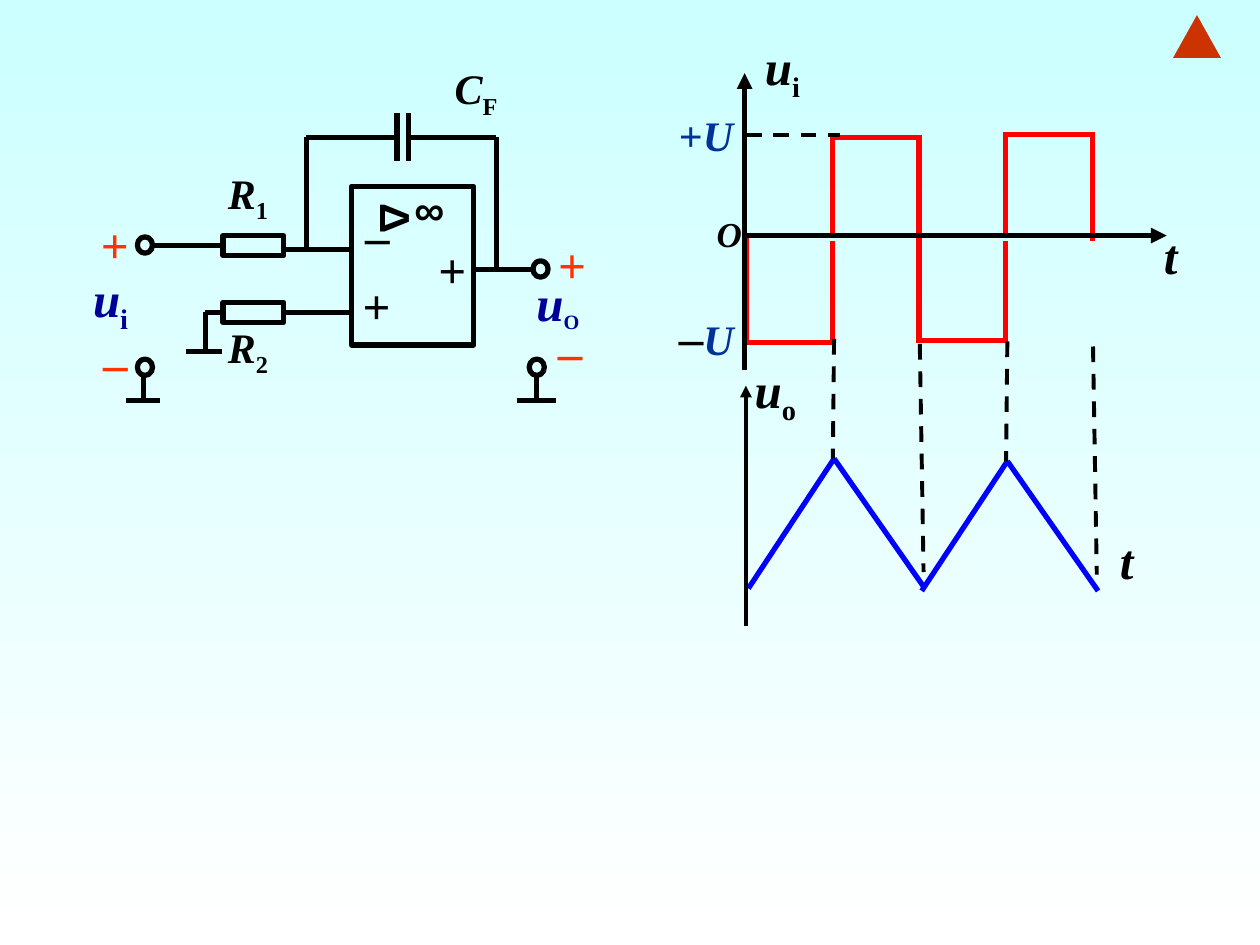
from dataclasses import dataclass

from lxml import etree
from pptx import Presentation
from pptx.dml.color import RGBColor
from pptx.enum.dml import MSO_LINE
from pptx.enum.shapes import MSO_CONNECTOR, MSO_SHAPE
from pptx.enum.text import PP_ALIGN
from pptx.oxml.ns import qn
from pptx.util import Inches, Pt

BOX, RING, PEAK = MSO_SHAPE.RECTANGLE, MSO_SHAPE.OVAL, MSO_SHAPE.ISOSCELES_TRIANGLE
WIRE, DASH = MSO_CONNECTOR.STRAIGHT, MSO_LINE.DASH
LEFT, MID = PP_ALIGN.LEFT, PP_ALIGN.CENTER
TOP_SIDE, LEFT_SIDE, RIGHT_SIDE = 0, 1, 3


@dataclass(frozen=True)
class Theme:
    serif: str = "Times New Roman"
    sans: str = "Arial"
    black: str = "000000"
    navy: str = "000099"
    blue: str = "003399"
    sign: str = "FF3300"
    input: str = "FF0000"
    output: str = "0000FF"
    badge: str = "CC3300"
    sky: tuple = ("CCFFFF", "FFFFFF")
    big: int = 28
    text: int = 24
    small: int = 20
    thick: float = 3
    thin: float = 2.25


T = Theme()


def cell(n):
    """Length on a grid of 100 columns by 75 rows."""
    return Inches(n / 10)


def rgb(hue):
    return RGBColor.from_string(hue)


def shape(slide, kind, x, y, w, h, fill=None):
    item = slide.shapes.add_shape(kind, *map(cell, (x, y, w, h)))
    item.shadow.inherit = False
    if fill:
        item.fill.solid()
        item.fill.fore_color.rgb = rgb(fill)
        item.line.fill.background()
    else:
        item.fill.background()
        item.line.color.rgb = rgb(T.black)
        item.line.width = Pt(T.thick)
    return item


def line(slide, x1, y1, x2, y2, hue=T.black, width=T.thick, dash=None, arrow=False):
    item = slide.shapes.add_connector(WIRE, *map(cell, (x1, y1, x2, y2)))
    props = item._element.spPr
    item.line.color.rgb = rgb(hue)
    item.line.width = Pt(width)
    if dash:
        item.line.dash_style = dash
    if arrow:
        etree.SubElement(props.find(qn("a:ln")), qn("a:tailEnd"), type="triangle")
    etree.SubElement(props, qn("a:effectLst"))
    return item


def run(para, text, sub=False, hue=T.black, **form):
    part = para.add_run()
    part.text = text
    form = {"name": T.serif, "size": T.text, "bold": True, "italic": False} | form
    form["size"] = Pt(form["size"])
    for key, value in form.items():
        setattr(part.font, key, value)
    part.font.color.rgb = rgb(hue)
    if sub:
        part._r.get_or_add_rPr().set("baseline", "-25000")


def label(slide, x, y, w, h, *runs, align=LEFT, turn=0):
    item = slide.shapes.add_textbox(*map(cell, (x, y, w, h)))
    item.rotation = turn
    item.text_frame.word_wrap = True
    para = item.text_frame.paragraphs[0]
    para.alignment = align
    for text, form in runs:
        run(para, text, **form)


def symbol(slide, x, y, w, h, name, index="", size=T.text, low=None,
           hue=T.black, align=LEFT):
    """Italic letter with an upright index."""
    runs = [(name, {"size": size, "italic": True, "hue": hue})]
    if index:
        runs.append((index, {"size": low or size, "sub": True, "hue": hue}))
    label(slide, x, y, w, h, *runs, align=align)


def sign(slide, x, y, w, text, hue=T.black, align=LEFT):
    label(slide, x, y, w, 5.7, (text, {"size": T.big, "hue": hue}), align=align)


def ground(slide, x, top, y, left, right):
    line(slide, x, top, x, y)
    line(slide, left, y, right, y)


def circuit(slide):
    # Amplifier block
    shape(slide, BOX, 27.9, 14.8, 9.7, 12.6)
    label(slide, 31.9, 14.1, 9.8, 5, ("∞", {"name": T.sans}))
    label(slide, 29.5, 14.7, 4, 5, ("Δ", {"name": T.sans}), align=MID, turn=90)
    for x, y, w, text in ((28, 15.8, 6.1, "–"), (27.8, 21.4, 4.2, "+"),
                          (33.8, 18.5, 7.5, "+")):
        sign(slide, x, y, w, text)

    # Resistors and their leads
    first, second = (shape(slide, BOX, 17.7, y, 4.8, 1.6) for y in (18.7, 24))
    line(slide, 17.7, 19.5, 12, 19.5).begin_connect(first, LEFT_SIDE)
    line(slide, 17.7, 24.8, 16.3, 24.8).begin_connect(second, LEFT_SIDE)
    line(slide, 22.5, 24.8, 28, 24.8).begin_connect(second, RIGHT_SIDE)
    line(slide, 22.5, 19.8, 28, 19.8)
    line(slide, 37.6, 21.4, 42.4, 21.4)
    symbol(slide, 17.1, 12.8, 6.6, 5.6, "R", "1")
    symbol(slide, 17.1, 25, 6.6, 5.6, "R", "2")

    # Feedback capacitor
    for plate, end, foot in ((31.5, 24.3, 19.9), (32.4, 39.4, 21.6)):
        line(slide, plate, 9, plate, 12.8)
        line(slide, plate, 10.9, end, 10.9)
        line(slide, end, 10.9, end, foot)
    symbol(slide, 35.1, 4.5, 10.6, 5.6, "C", "F")

    # Terminals and grounds
    for x, y in ((10.9, 18.8), (42.3, 20.7), (10.9, 28.5), (42, 28.5)):
        shape(slide, RING, x, y, 1.2, 1.3)
    for spot in ((16.3, 24.8, 27.9, 14.8, 17.6), (11.4, 29.6, 31.8, 10, 12.7),
                 (42.6, 29.6, 31.8, 41, 44.1)):
        ground(slide, *spot)
    for x, y, w, text in ((7, 16.5, 4.2, "+"), (43.3, 18.1, 4.2, "+"),
                          (7.2, 25.9, 3.9, "–"), (42.3, 25, 5.9, "–")):
        sign(slide, x, y, w, text, T.sign, MID)
    symbol(slide, 6.4, 20.8, 5.7, 6.3, "u", "i", T.big, hue=T.navy)
    symbol(slide, 41.6, 21.1, 10.6, 5.9, "u", "O", T.big, T.small, T.navy)


def square(slide):
    # Input wave: each half cycle leaves the axis, holds its level, returns
    start, step, zero = 59.2, 6.87, 18.7
    for i, level in enumerate((27.2, 10.9, 27, 10.7)):
        x = start + i * step
        line(slide, x, zero, x, level, T.input)
        line(slide, x - 0.2, level, x + step + 0.2, level, T.input)
        line(slide, x + step, level, x + step, zero + 0.4, T.input)

    # Axes and labels
    line(slide, 59.1, zero, 92.6, zero, arrow=True)
    line(slide, 59.1, 29.4, 59.1, 5.8, arrow=True)
    line(slide, 59.2, 10.7, 66.7, 10.7, width=T.thin, dash=DASH)
    symbol(slide, 58.4, 2.4, 7.4, 6.3, "u", "i", T.big, align=MID)
    symbol(slide, 90, 17.4, 5.8, 5.7, "t", size=T.big, align=MID)
    symbol(slide, 55.9, 16.4, 4, 4.4, "O", size=T.small)
    level = ("U", {"italic": True, "hue": T.blue})
    label(slide, 52.9, 8.2, 8, 5, ("+", {"hue": T.blue}), level)
    label(slide, 52.9, 23.8, 8, 5.7, ("–", {"size": T.big}), level)


def ramp(slide):
    # Output wave: two equal cycles with guides from the input edges
    for i in range(2):
        x, y = 13.75 * i, 0.2 * i
        line(slide, 59.4 + x, 46.7 + y, 66.2 + x, 36.4 + y, T.output)
        line(slide, 66.2 + x, 36.4 + y, 73.4 + x, 46.7 + y, T.output)
        for x1, y1, x2, y2 in ((66.2, 26.9, 66.1, 36.4), (73, 27.3, 73.3, 45.4)):
            line(slide, x1 + x, y1 + y, x2 + x, y2 + y, width=T.thin, dash=DASH)

    # Axis and labels
    line(slide, 59.2, 49.7, 59.2, 30.6, width=T.thin, arrow=True)
    symbol(slide, 58.9, 28, 5.9, 6.3, "u", "o", T.big)
    symbol(slide, 87.9, 41.6, 4.4, 5.7, "t", size=T.big)


def main():
    deck = Presentation()
    deck.slide_width, deck.slide_height = cell(100), cell(75)
    slide = deck.slides.add_slide(deck.slide_layouts[6])

    # Sky background and corner badge
    back = slide.background.fill
    back.gradient()
    back.gradient_angle = 270
    for stop, hue in zip(back.gradient_stops, T.sky):
        stop.color.rgb = rgb(hue)
    shape(slide, PEAK, 93.1, 1.2, 3.8, 3.4, T.badge)

    circuit(slide)
    square(slide)
    ramp(slide)
    deck.save("out.pptx")


if __name__ == "__main__":
    main()
